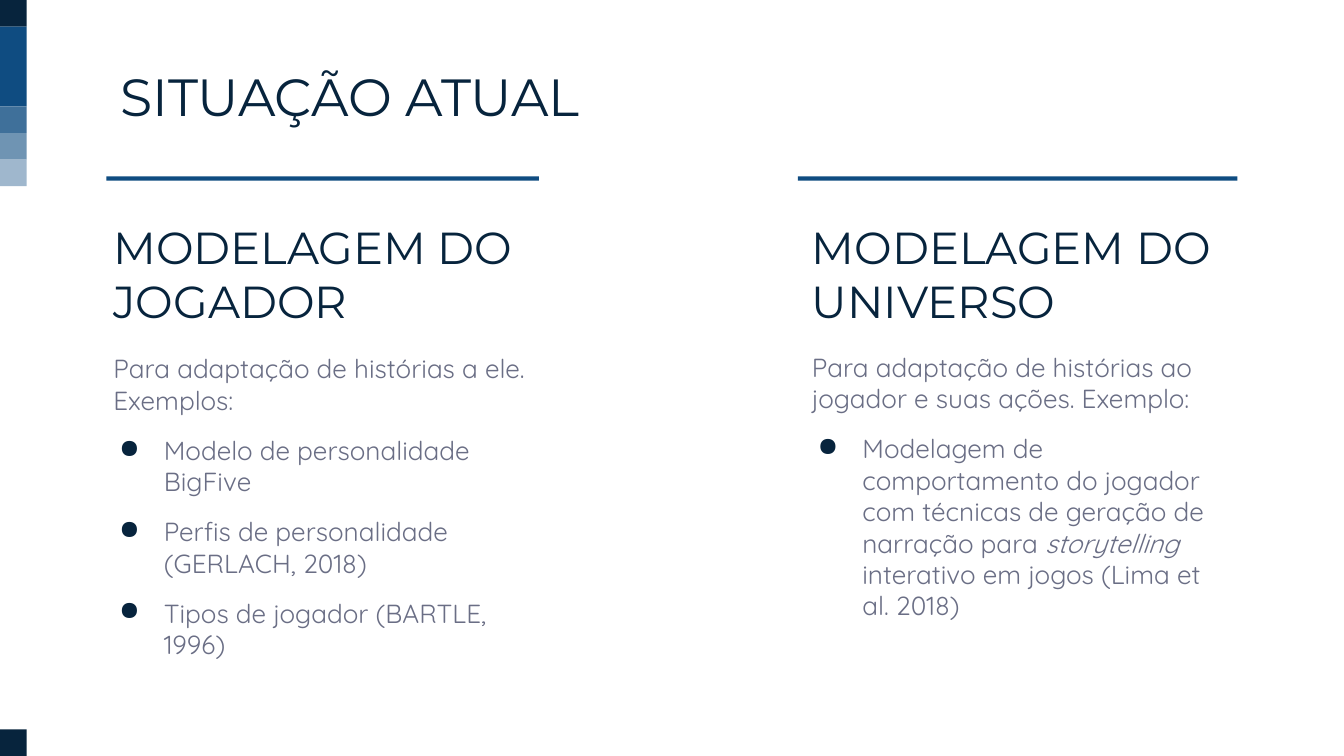
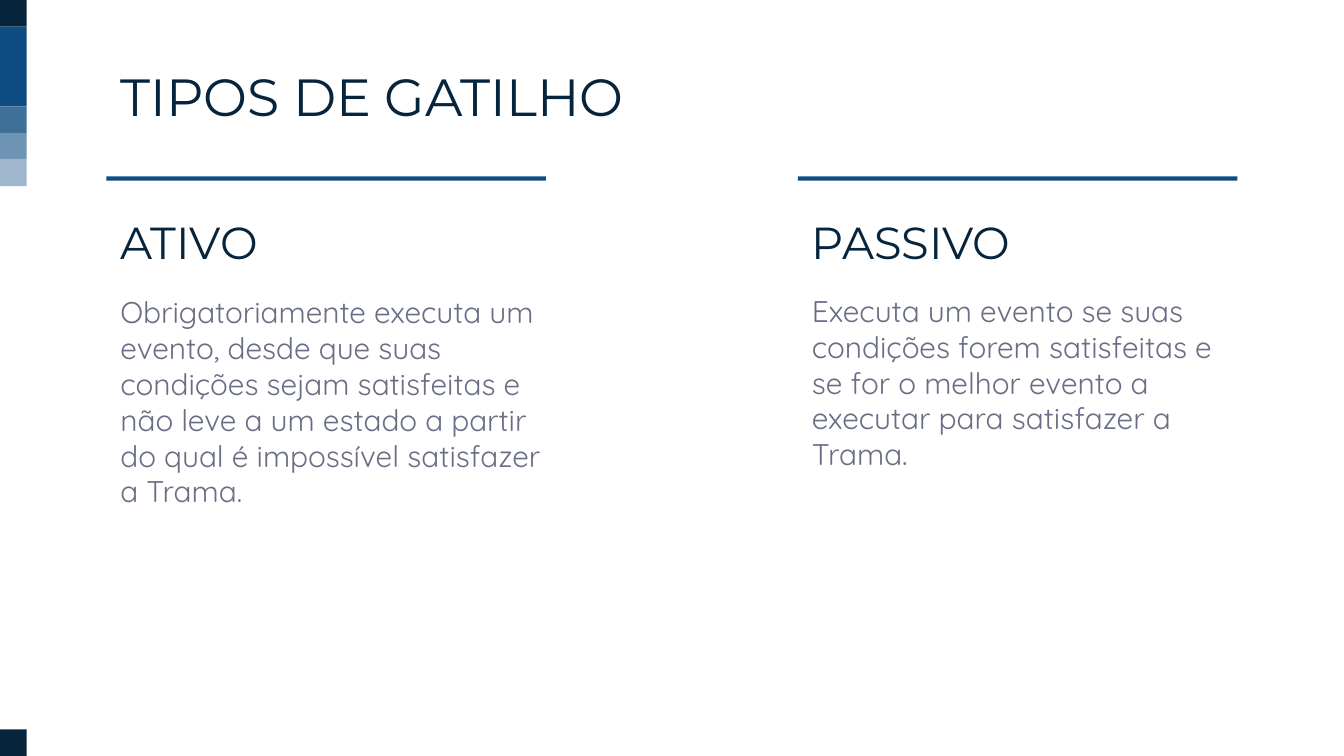
from dataclasses import dataclass

from lxml.etree import SubElement
from pptx import Presentation
from pptx.dml.color import RGBColor
from pptx.enum.shapes import MSO_SHAPE
from pptx.enum.text import MSO_ANCHOR, MSO_AUTO_SIZE, PP_ALIGN
from pptx.oxml.ns import qn
from pptx.util import Pt

PX = 9525
SLIDE_WIDTH, SLIDE_HEIGHT = 960, 540
BAND = 19
LEFT, RIGHT = 76, 570


@dataclass(frozen=True)
class Theme:
    navy: str = "07243D"
    blue: str = "0F4C81"
    steel: str = "3F709A"
    sky: str = "6F94B3"
    mist: str = "9FB7CD"
    grey: str = "6A6E85"
    heading_font: str = "Montserrat"
    body_font: str = "Quicksand"
    title_size: int = 28
    heading_size: int = 24
    text_size: int = 16
    list_size: int = 14
    paragraph_gap: int = 10


class Deck:
    def __init__(self, theme):
        self.theme = theme
        self.presentation = Presentation()
        self.presentation.slide_width = SLIDE_WIDTH * PX
        self.presentation.slide_height = SLIDE_HEIGHT * PX
        self.slide = None

    def start_slide(self, title):
        layout = self.presentation.slide_layouts[5]
        self.slide = self.presentation.slides.add_slide(layout)
        shape = self.slide.shapes.title
        shape.left, shape.top, shape.width, shape.height = (
            length * PX for length in (LEFT, 36, 727, 66)
        )
        self.prepare_frame(shape, MSO_ANCHOR.TOP)
        self.write_heading(shape, title, self.theme.title_size)
        self.add_side_band()

    def prepare_frame(self, shape, anchor):
        frame = shape.text_frame
        frame.word_wrap = True
        frame.auto_size = MSO_AUTO_SIZE.NONE
        frame.vertical_anchor = anchor
        frame.margin_left = frame.margin_right = 10 * PX
        frame.margin_top = frame.margin_bottom = 10 * PX

    def format_run(self, run, font_name, size, color):
        run.font.name = font_name
        run.font.size = Pt(size)
        run.font.color.rgb = RGBColor.from_string(color)

    def write_heading(self, shape, text, size):
        shape.text_frame.text = text
        paragraph = shape.text_frame.paragraphs[0]
        paragraph.alignment = PP_ALIGN.LEFT
        self.format_run(paragraph.runs[0], self.theme.heading_font, size, self.theme.navy)

    def add_text_box(self, box, anchor):
        shape = self.slide.shapes.add_textbox(*(length * PX for length in box))
        self.prepare_frame(shape, anchor)
        return shape

    def add_heading(self, text, box):
        shape = self.add_text_box(box, MSO_ANCHOR.BOTTOM)
        self.write_heading(shape, text, self.theme.heading_size)

    def add_body(self, text, box, size, bullets=()):
        frame = self.add_text_box(box, MSO_ANCHOR.TOP).text_frame
        self.write_body(frame.paragraphs[0], text, size)
        for bullet in bullets:
            paragraph = frame.add_paragraph()
            paragraph.space_before = Pt(self.theme.paragraph_gap)
            self.set_bullet(paragraph)
            self.write_body(paragraph, bullet, size)

    def write_body(self, paragraph, text, size):
        for index, part in enumerate(text.split("*")):
            run = paragraph.add_run()
            run.text = part
            run.font.italic = index % 2 == 1
            self.format_run(run, self.theme.body_font, size, self.theme.grey)

    def set_bullet(self, paragraph):
        properties = paragraph._p.get_or_add_pPr()
        properties.set("marL", str(36 * PX))
        properties.set("indent", str(-32 * PX))
        color = SubElement(properties, qn("a:buClr"))
        SubElement(color, qn("a:srgbClr")).set("val", self.theme.navy)
        SubElement(properties, qn("a:buChar")).set("char", "●")

    def add_rectangle(self, shapes, box, color):
        shape = shapes.add_shape(MSO_SHAPE.RECTANGLE, *(length * PX for length in box))
        shape.shadow.inherit = False
        shape.fill.solid()
        shape.fill.fore_color.rgb = RGBColor.from_string(color)
        shape.line.fill.background()

    def add_rule(self, left, width):
        self.add_rectangle(self.slide.shapes, (left, 126, width, 3), self.theme.blue)

    def add_side_band(self):
        theme = self.theme
        group = self.slide.shapes.add_group_shape()
        top = 0
        for color, units in (
            (theme.navy, 1), (theme.blue, 3), (theme.steel, 1), (theme.sky, 1), (theme.mist, 1)
        ):
            self.add_rectangle(group.shapes, (0, top, BAND, units * BAND), color)
            top += units * BAND
        self.add_rectangle(group.shapes, (0, SLIDE_HEIGHT - BAND, BAND, BAND), theme.navy)


def build_current_state(deck):
    size = deck.theme.list_size
    deck.start_slide("SITUAÇÃO ATUAL")
    deck.add_rule(LEFT, 309)
    deck.add_rule(RIGHT, 314)
    deck.add_heading("MODELAGEM DO JOGADOR", (71, 156, 315, 88))
    deck.add_body(
        "Para adaptação de histórias a ele. Exemplos:",
        (71, 242, 319, 241),
        size,
        (
            "Modelo de personalidade BigFive",
            "Perfis de personalidade (GERLACH, 2018)",
            "Tipos de jogador (BARTLE, 1996)",
        ),
    )
    deck.add_heading("MODELAGEM DO UNIVERSO", (RIGHT, 156, 314, 88))
    deck.add_body(
        "Para adaptação de histórias ao jogador e suas ações. Exemplo:",
        (RIGHT, 241, 314, 242),
        size,
        (
            "Modelagem de comportamento do jogador com técnicas de geração de "
            "narração para *storytelling *interativo em jogos (Lima et al. 2018)",
        ),
    )


def build_trigger_types(deck):
    size = deck.theme.text_size
    deck.start_slide("TIPOS DE GATILHO")
    deck.add_rule(LEFT, 314)
    deck.add_rule(RIGHT, 314)
    deck.add_heading("ATIVO", (LEFT, 154, 178, 48))
    deck.add_body(
        "Obrigatoriamente executa um evento, desde que suas condições sejam satisfeitas "
        "e não leve a um estado a partir do qual é impossível satisfazer a Trama.",
        (LEFT, 200, 324, 273),
        size,
    )
    deck.add_heading("PASSIVO", (RIGHT, 154, 191, 48))
    deck.add_body(
        "Executa um evento se suas condições forem satisfeitas e se for o melhor evento "
        "a executar para satisfazer a Trama.",
        (RIGHT, 199, 314, 183),
        size,
    )


def main():
    deck = Deck(Theme())
    build_current_state(deck)
    build_trigger_types(deck)
    deck.presentation.save("out.pptx")


if __name__ == "__main__":
    main()
